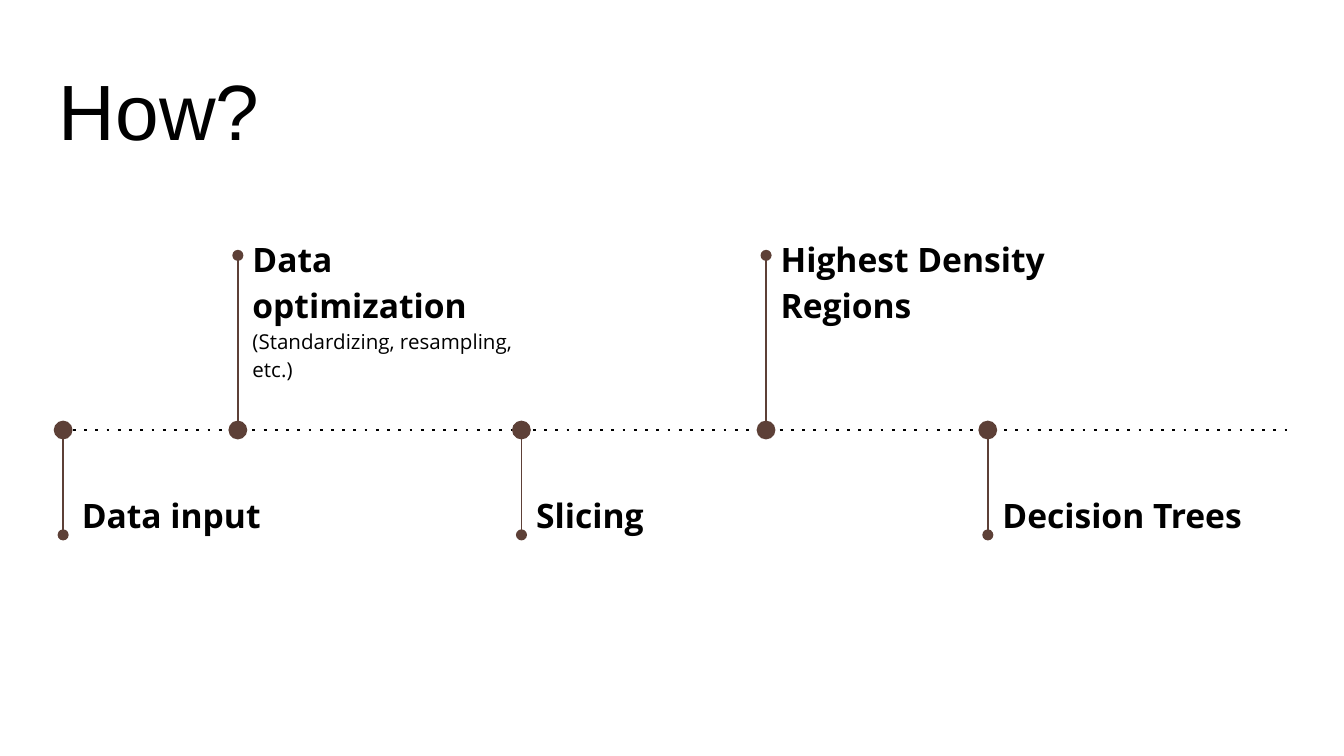
from lxml import etree
from pptx import Presentation
from pptx.dml.color import RGBColor
from pptx.enum.shapes import MSO_CONNECTOR, MSO_SHAPE
from pptx.enum.text import MSO_ANCHOR
from pptx.oxml.ns import qn
from pptx.util import Inches, Pt

STRAIGHT = MSO_CONNECTOR.STRAIGHT
OVAL = MSO_SHAPE.OVAL
TOP = MSO_ANCHOR.TOP
BOTTOM = MSO_ANCHOR.BOTTOM

COLORS = {"text": "000000", "marker": "5D4037"}
SLIDE_WIDTH = 10
SLIDE_HEIGHT = SLIDE_WIDTH * 9 / 16
MARKER_SIZE = 0.14
LABEL_WIDTH = 2.38
ABOVE = {"stem": -1.3, "label": -1.57, "height": 1.2}
BELOW = {"stem": 0.78, "label": 0.34, "height": 1.32}

STEPS = [
    (0.01, 0.04, BELOW, "Data input", None),
    (1.31, 0.01, ABOVE, "Data optimization", "(Standardizing, resampling, etc.)"),
    (3.42, 0.01, BELOW, "Slicing", None),
    (5.24, 0.01, ABOVE, "Highest Density Regions", None),
    (6.89, 0.01, BELOW, "Decision Trees", None),
]


def color(name):
    return RGBColor.from_string(COLORS[name])


def add_line(slide, start, end, color_name, width, detail, **attributes):
    line = slide.shapes.add_connector(STRAIGHT, *map(Inches, start + end))
    line.line.color.rgb = color(color_name)
    line.line.width = Pt(width)
    properties = line._element.spPr
    etree.SubElement(properties.find(qn("a:ln")), qn(detail), attributes)
    etree.SubElement(properties, qn("a:effectLst"))


def add_text(slide, box, lines, font, anchor=TOP, spacing=None):
    frame = slide.shapes.add_textbox(*map(Inches, box)).text_frame
    frame.word_wrap = True
    frame.vertical_anchor = anchor
    frame.margin_left = frame.margin_right = Inches(0.1)
    frame.margin_top = frame.margin_bottom = Inches(0.1)
    for index, (text, size, bold) in enumerate(lines):
        paragraph = frame.add_paragraph() if index else frame.paragraphs[0]
        paragraph.line_spacing = spacing
        run = paragraph.add_run()
        run.text = text
        run.font.name = font
        run.font.size = Pt(size)
        run.font.bold = bold
        run.font.color.rgb = color("text")


def add_step(slide, x, axis, label_offset, side, heading, detail):
    radius = MARKER_SIZE / 2
    marker = slide.shapes.add_shape(
        OVAL, Inches(x - radius), Inches(axis - radius),
        Inches(MARKER_SIZE), Inches(MARKER_SIZE))
    marker.shadow.inherit = False
    marker.fill.solid()
    marker.fill.fore_color.rgb = color("marker")
    marker.line.fill.background()

    edge = radius if side["stem"] > 0 else -radius
    add_line(slide, (x, axis + edge), (x, axis + side["stem"]),
             "marker", 0.75, "a:tailEnd", type="oval")

    lines = [(heading, 18, True)]
    if detail:
        lines.append((detail, 11, False))
    box = (x + label_offset, axis + side["label"], LABEL_WIDTH, side["height"])
    add_text(slide, box, lines, "Open Sans", spacing=1.15)


def add_timeline(slide, left, axis, width):
    add_line(slide, (left, axis), (left + width, axis),
             "text", 1.5, "a:prstDash", val="dot")
    for offset, label_offset, side, heading, detail in STEPS:
        add_step(slide, left + offset, axis, label_offset, side, heading, detail)


def add_title(slide, left, top, width, height):
    add_text(slide, (left, top, width, height), [("How?", 42, False)],
             "Arial", anchor=BOTTOM)


def main():
    presentation = Presentation()
    presentation.slide_width = Inches(SLIDE_WIDTH)
    presentation.slide_height = Inches(SLIDE_HEIGHT)
    slide = presentation.slides.add_slide(presentation.slide_layouts[6])
    add_title(slide, 0.34, 0.35, 9.32, 0.91)
    add_timeline(slide, 0.46, 3.2, 9.12)
    presentation.save("out.pptx")


if __name__ == "__main__":
    main()
